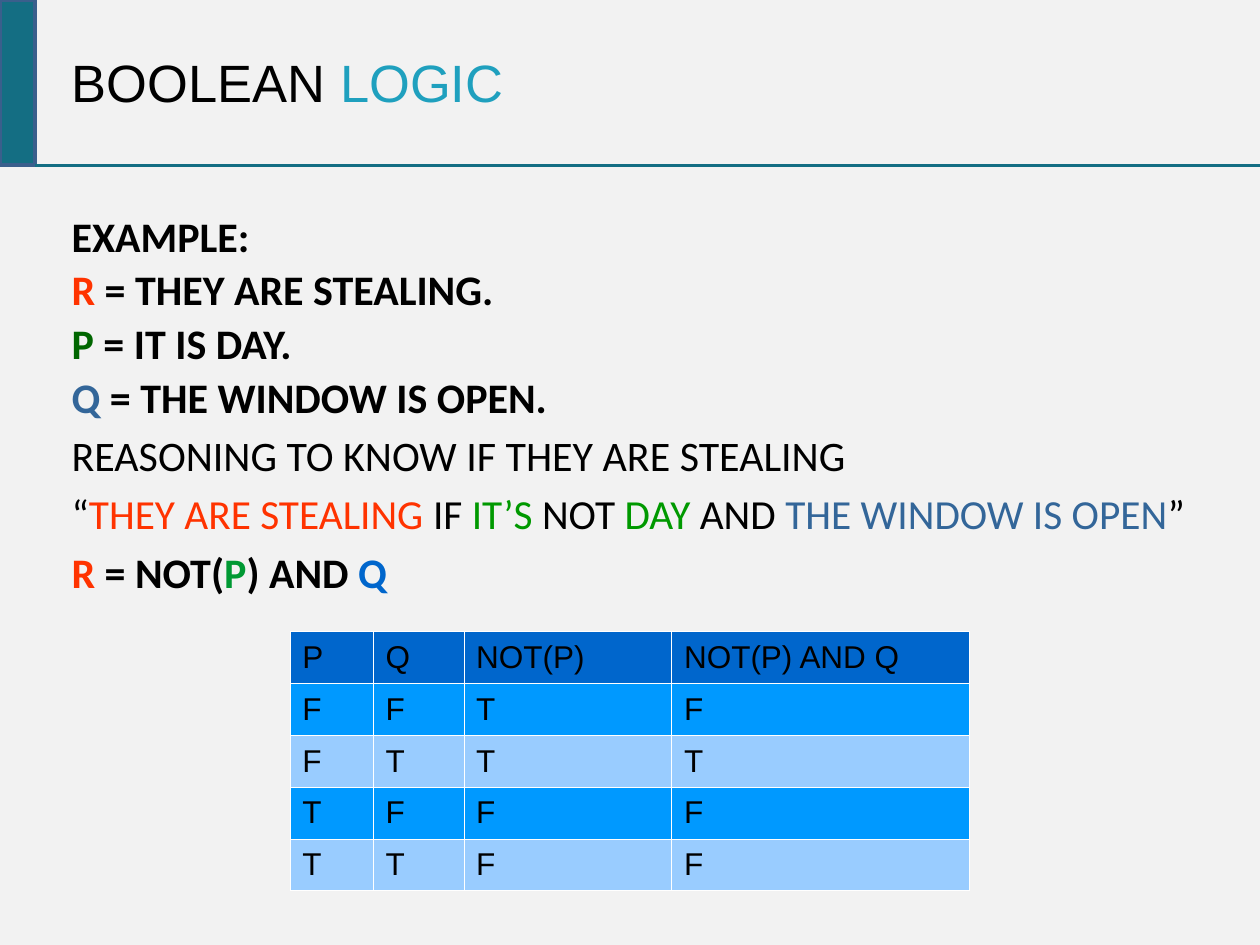
"""Build the Boolean logic slide with its reasoning example and truth table."""
from lxml import etree
from pptx import Presentation
from pptx.dml.color import RGBColor
from pptx.enum import shapes, text
from pptx.oxml import parse_xml
from pptx.oxml.ns import nsdecls, qn
from pptx.util import Inches, Pt

COLORS = {
    "background": "F2F2F2", "black": "000000", "white": "FFFFFF",
    "teal": "146E83", "aqua": "1FA0BE", "outline": "3A5F8C",
    "red": "FF3300", "dark_green": "006600", "green": "009900",
    "jade": "009933", "slate": "336699", "blue": "0066CC",
    "header": "0066CC", "odd_row": "0099FF", "even_row": "99CCFF",
}


def rgb(name):
    return RGBColor.from_string(COLORS[name])


def add_run(p, words, color, size, font, bold=False):
    r = p.add_run()
    r.text = words
    r.font.name = font
    r.font.size = Pt(size)
    r.font.bold = bold
    r.font.color.rgb = rgb(color)


prs = Presentation()
prs.slide_width, prs.slide_height = Inches(10), Inches(7.5)
s = prs.slides.add_slide(prs.slide_layouts[6])
s.background.fill.solid()
s.background.fill.fore_color.rgb = rgb("background")

title = s.shapes.add_textbox(Inches(0.47), 0, Inches(8.15), Inches(1.3))
tf = title.text_frame
tf.word_wrap = True
tf.vertical_anchor = text.MSO_ANCHOR.MIDDLE
for words, color in [("BOOLEAN ", "black"), ("LOGIC", "aqua")]:
    add_run(tf.paragraphs[0], words, color, 30, "Arial")

bar = s.shapes.add_shape(shapes.MSO_SHAPE.RECTANGLE, 0, 0, Inches(0.28), Inches(1.31))
bar.shadow.inherit = False
bar.fill.solid()
bar.fill.fore_color.rgb = rgb("teal")
bar.line.color.rgb = rgb("outline")
bar.line.width = Pt(2)

rule = s.shapes.add_connector(
    shapes.MSO_CONNECTOR.STRAIGHT, Inches(0.28), Inches(1.31), Inches(10), Inches(1.31))
rule.line.color.rgb = rgb("teal")
rule.line.width = Pt(1.75)
etree.SubElement(rule.element.spPr, qn("a:effectLst"))

example = [
    (24, True, 1.8, [("EXAMPLE:", "black")]),
    (24, True, 1.8, [("R ", "red"), ("= THEY ARE STEALING.", "black")]),
    (24, True, 1.8, [("P", "dark_green"), (" = IT IS DAY.", "black")]),
    (24, True, 1.8, [("Q", "slate"), (" = THE WINDOW IS OPEN.", "black")]),
    (24, False, 4.8, [("REASONING TO KNOW IF THEY ARE STEALING", "black")]),
    (23.6, False, 4.8, [
        ("“", "black"), ("THEY ARE STEALING", "red"), (" IF ", "black"),
        ("IT’S ", "green"), ("NOT", "black"), (" DAY", "green"),
        (" AND ", "black"), ("THE WINDOW IS OPEN", "slate"), ("”", "black")]),
    (24, True, 4.8, [
        ("R ", "red"), ("= NOT(", "black"), ("P", "jade"),
        (") AND ", "black"), ("Q", "blue")]),
]
body = s.shapes.add_textbox(Inches(0.47), Inches(1.62), Inches(9.06), Inches(5.71))
tf = body.text_frame
tf.word_wrap = True
tf.margin_right = 0
for i, (size, bold, before, runs) in enumerate(example):
    p = tf.add_paragraph() if i else tf.paragraphs[0]
    p.space_before = Pt(before)
    pPr = p._p.get_or_add_pPr()
    pPr.set("marL", str(Inches(0.38)))
    pPr.set("indent", str(-Inches(0.38)))
    for words, color in runs:
        add_run(p, words, color, size, "Calibri", bold)

truth_rows = [
    ["P", "Q", "NOT(P)", "NOT(P) AND Q"],
    ["F", "F", "T", "F"],
    ["F", "T", "T", "T"],
    ["T", "F", "F", "F"],
    ["T", "T", "F", "F"],
]
col_widths = [0.66, 0.72, 1.65, 2.36]
row_height = 0.41
table = s.shapes.add_table(
    len(truth_rows), len(col_widths), Inches(2.3), Inches(5.01),
    Inches(sum(col_widths)), Inches(row_height * len(truth_rows))).table
for column, width in zip(table.columns, col_widths):
    column.width = Inches(width)
for i, values in enumerate(truth_rows):
    table.rows[i].height = Inches(row_height)
    fill = "header" if i == 0 else "odd_row" if i % 2 else "even_row"
    for j, value in enumerate(values):
        cell = table.cell(i, j)
        cell.margin_left = cell.margin_right = cell.margin_top = Inches(0.1)
        cell.margin_bottom = Inches(0.05)
        cell.fill.solid()
        cell.fill.fore_color.rgb = rgb(fill)
        p = cell.text_frame.paragraphs[0]
        p.line_spacing = 0.87
        add_run(p, value, "black", 18, "Arial")
        tcPr = cell._tc.get_or_add_tcPr()
        for k, side in enumerate(["lnL", "lnR", "lnT", "lnB"]):
            tcPr.insert(k, parse_xml(
                f'<a:{side} {nsdecls("a")} w="{Pt(0.11)}"><a:solidFill>'
                f'<a:srgbClr val="{COLORS["white"]}"/></a:solidFill></a:{side}>'))

prs.save("out.pptx")
